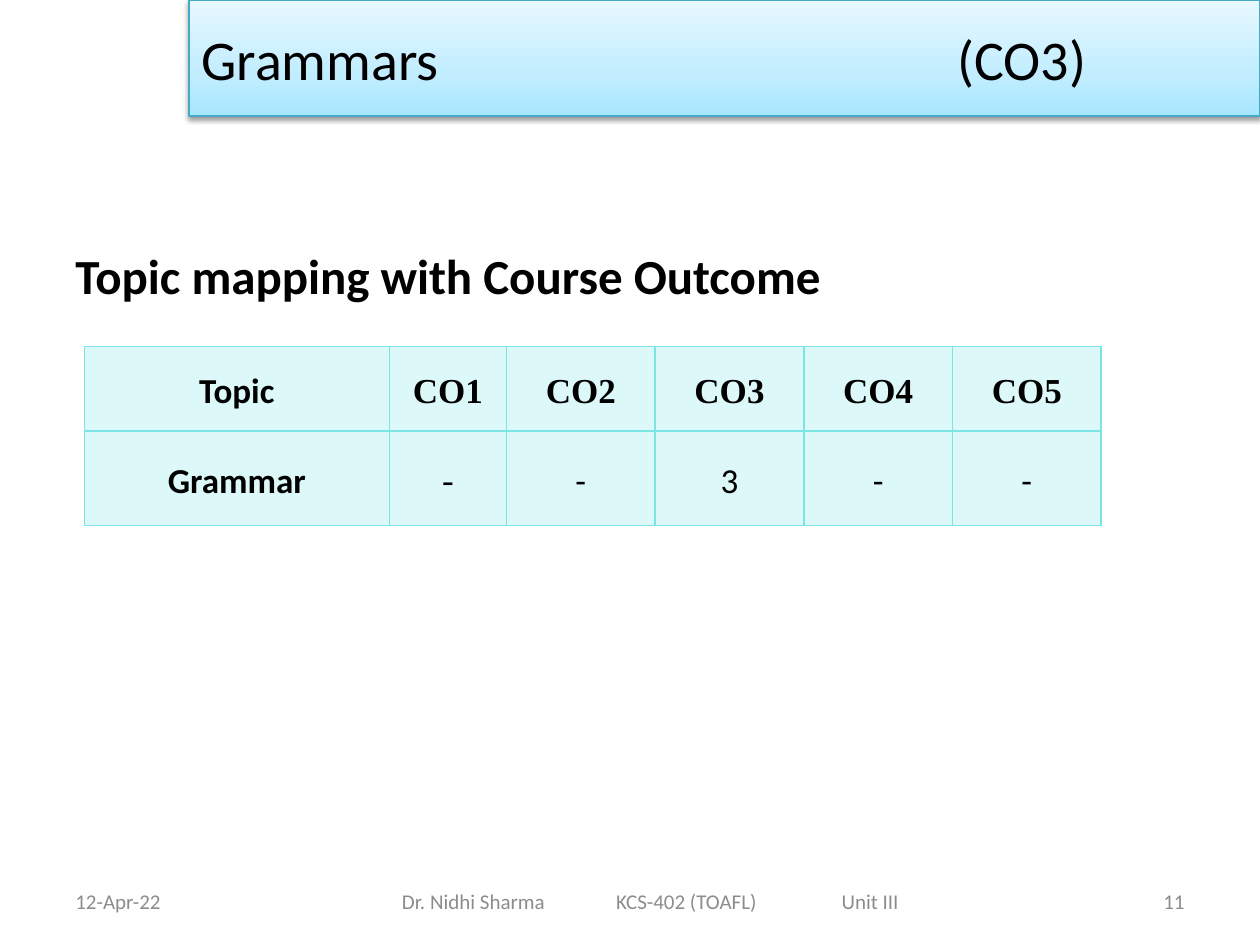
from dataclasses import dataclass

from pptx import Presentation
from pptx.dml.color import RGBColor
from pptx.enum.shapes import MSO_SHAPE
from pptx.enum.text import MSO_ANCHOR, PP_ALIGN
from pptx.oxml import parse_xml
from pptx.oxml.ns import nsdecls
from pptx.util import Inches, Pt

LEFT, CENTER, RIGHT = PP_ALIGN.LEFT, PP_ALIGN.CENTER, PP_ALIGN.RIGHT
MIDDLE, TOP = MSO_ANCHOR.MIDDLE, MSO_ANCHOR.TOP
RECTANGLE = MSO_SHAPE.RECTANGLE

COLORS = {
    "text": "000000",
    "footer": "8C8C8C",
    "banner_line": "46AAC5",
    "banner_bottom": "A7E6FF",
    "banner_middle": "C1EDFF",
    "banner_top": "E7F8FF",
    "table": "7BE5E5",
}
SANS, SERIF = "Calibri", "Times New Roman"
FOOTER_TOP, FOOTER_HEIGHT = 6.95, 0.4


@dataclass
class Label:
    text: str
    left: float
    top: float
    width: float
    height: float
    size: float = 12
    color: str = "footer"
    bold: bool = False
    align: PP_ALIGN = LEFT
    anchor: MSO_ANCHOR = MIDDLE
    margin_left: float = 0.1
    margin_top: float = 0.05
    tabs: tuple[float, ...] = ()


@dataclass
class Entry:
    text: str
    font: str = SANS
    bold: bool = False
    space_after: float = 0


HEADER = [Entry("Topic", bold=True)] + [
    Entry(f"CO{n}", SERIF, bold=True) for n in range(1, 6)
]
GRAMMAR_ROW = [Entry("Grammar", bold=True), Entry("-", SERIF, space_after=10)] + [
    Entry(mark, space_after=10) for mark in "-3--"
]
COLUMN_WIDTHS = [2.42, 0.93] + [1.18] * 4
ROW_HEIGHTS = [0.67, 0.75]

LABELS = [
    Label("Topic mapping with Course Outcome", 0.5, 1.25, 9, 4.95, size=28,
          color="text", bold=True, anchor=TOP, margin_top=0.7),
    Label("12-Apr-22", 0.5, FOOTER_TOP, 2.33, FOOTER_HEIGHT),
    Label("11", 7.17, FOOTER_TOP, 2.33, FOOTER_HEIGHT, align=RIGHT),
    Label("Dr. Nidhi Sharma\tKCS-402 (TOAFL)\tUnit III", 2.67, FOOTER_TOP, 5,
          FOOTER_HEIGHT, margin_left=0.52, tabs=(1.7, 3.49)),
]


def write(tf, text: str, *, size: float, font: str = SANS, color: str = "text",
          bold: bool = False, align: PP_ALIGN = LEFT, line_spacing: float = 1,
          space_after: float = 0, tabs: tuple[float, ...] = ()) -> None:
    p = tf.paragraphs[0]
    p.alignment = align
    p.line_spacing = line_spacing
    p.space_after = Pt(space_after)
    if tabs:
        stops = "".join(f'<a:tab pos="{Inches(t)}" algn="l"/>' for t in tabs)
        p._p.get_or_add_pPr().append(
            parse_xml(f'<a:tabLst {nsdecls("a")}>{stops}</a:tabLst>'))
    r = p.add_run()
    r.text = text
    r.font.name = font
    r.font.size = Pt(size)
    r.font.bold = bold
    r.font.color.rgb = RGBColor.from_string(COLORS[color])


def add_label(s, label: Label) -> None:
    box = s.shapes.add_textbox(Inches(label.left), Inches(label.top),
                               Inches(label.width), Inches(label.height))
    tf = box.text_frame
    tf.word_wrap = True
    tf.vertical_anchor = label.anchor
    tf.margin_left = Inches(label.margin_left)
    tf.margin_top = Inches(label.margin_top)
    write(tf, label.text, size=label.size, color=label.color, bold=label.bold,
          align=label.align, tabs=label.tabs)


def add_banner(s) -> None:
    """Draw the title bar with its three-stop gradient and soft shadow."""
    sp = s.shapes.add_shape(RECTANGLE, Inches(1.5), 0, Inches(8.5), Inches(0.92))
    sp.line.color.rgb = RGBColor.from_string(COLORS["banner_line"])
    sp.line.width = Pt(0.75)
    stops = "".join(
        f'<a:gs pos="{pos * 1000}"><a:srgbClr val="{COLORS[name]}"/></a:gs>'
        for pos, name in ((0, "banner_bottom"), (35, "banner_middle"), (100, "banner_top")))
    line = sp.line._get_or_add_ln()
    line.addprevious(parse_xml(
        f'<a:gradFill {nsdecls("a")} rotWithShape="1"><a:gsLst>{stops}</a:gsLst>'
        '<a:lin ang="16200000" scaled="1"/></a:gradFill>'))
    line.addnext(parse_xml(
        f'<a:effectLst {nsdecls("a")}><a:outerShdw blurRad="{Pt(3.1)}" '
        f'dist="{Pt(1.6)}" dir="5400000" rotWithShape="0">'
        '<a:srgbClr val="000000"><a:alpha val="38000"/></a:srgbClr>'
        '</a:outerShdw></a:effectLst>'))
    tf = sp.text_frame
    tf.word_wrap = True
    tf.vertical_anchor = MIDDLE
    write(tf, "Grammars\t(CO3)", size=32, tabs=(6,))


def style_cell(cell) -> None:
    """Give a cell thin borders and a 25% tint of the same colour."""
    tcPr = cell._tc.get_or_add_tcPr()
    color = COLORS["table"]
    for side in ("lnL", "lnR", "lnT", "lnB"):
        tcPr.append(parse_xml(
            f'<a:{side} {nsdecls("a")} w="{Pt(1)}"><a:solidFill>'
            f'<a:srgbClr val="{color}"/></a:solidFill></a:{side}>'))
    tcPr.append(parse_xml(
        f'<a:solidFill {nsdecls("a")}><a:srgbClr val="{color}">'
        '<a:alpha val="25000"/></a:srgbClr></a:solidFill>'))


def add_outcome_table(s, rows: list[list[Entry]]) -> None:
    table = s.shapes.add_table(
        len(rows), len(COLUMN_WIDTHS), Inches(0.67), Inches(2.75),
        Inches(sum(COLUMN_WIDTHS)), Inches(sum(ROW_HEIGHTS))).table
    table.first_row = False
    table.horz_banding = False
    for column, width in zip(table.columns, COLUMN_WIDTHS):
        column.width = Inches(width)
    for row, height, entries in zip(table.rows, ROW_HEIGHTS, rows):
        row.height = Inches(height)
        for cell, entry in zip(row.cells, entries):
            cell.margin_left = cell.margin_right = Inches(0.07)
            cell.margin_top = cell.margin_bottom = 0
            cell.vertical_anchor = MIDDLE
            style_cell(cell)
            write(cell.text_frame, entry.text, size=20, font=entry.font,
                  bold=entry.bold, align=CENTER, line_spacing=1.15,
                  space_after=entry.space_after)


def main() -> None:
    prs = Presentation()
    prs.slide_width, prs.slide_height = Inches(10), Inches(7.5)
    s = prs.slides.add_slide(prs.slide_layouts[6])
    for label in LABELS:
        add_label(s, label)
    add_banner(s)
    add_outcome_table(s, [HEADER, GRAMMAR_ROW])
    prs.save("out.pptx")


if __name__ == "__main__":
    main()
